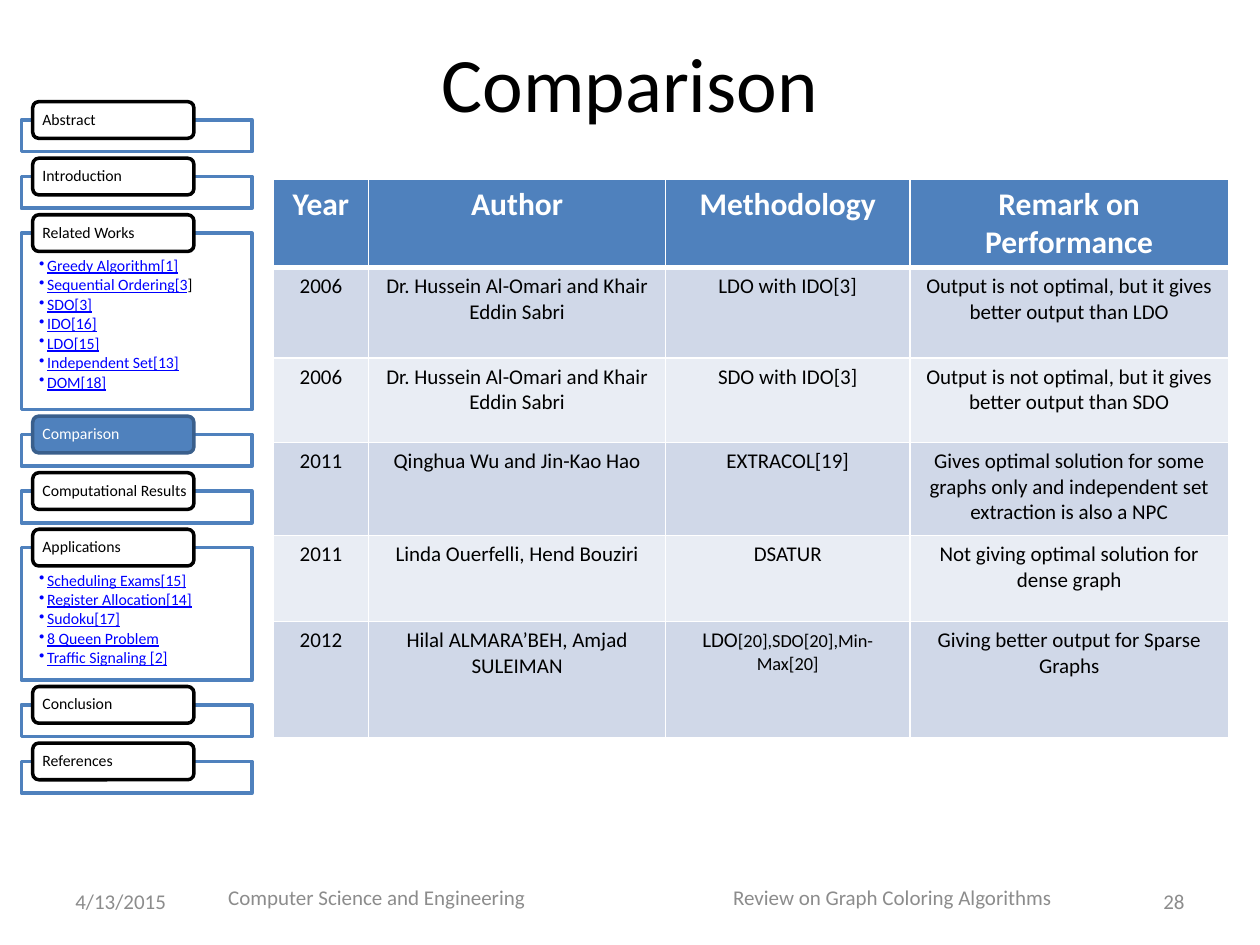
from lxml.etree import SubElement
from pptx import Presentation
from pptx.dml.color import RGBColor
from pptx.enum.shapes import MSO_SHAPE as Shape
from pptx.enum.text import MSO_ANCHOR as Anchor, PP_ALIGN as Align
from pptx.oxml.ns import qn
from pptx.util import Cm, Pt

BLUE, WHITE, BLACK, GREY, LINK = "4F81BD", "FFFFFF", "000000", "8C8C8C", "0000FF"
BANDS = ("E9EDF4", "D0D8E8")


def color(value):
    return RGBColor.from_string(value)


class SlideBuilder:
    """Draws styled elements on the current slide."""

    font_name = "Calibri"

    def __init__(self, slide):
        self.slide = slide

    def style(self, paragraph, size, tint, align=Align.LEFT, bold=False):
        paragraph.alignment = align
        font = paragraph.font
        font.name, font.size, font.bold = self.font_name, Pt(size), bold
        font.color.rgb = color(tint)

    def frame(self, shape, anchor, insets):
        frame = shape.text_frame
        frame.word_wrap = True
        frame.vertical_anchor = anchor
        frame.margin_left, frame.margin_top, frame.margin_right, frame.margin_bottom = map(Cm, insets)
        return frame

    def text(self, box, content, size, tint, align=Align.LEFT, left_inset=0.25):
        shape = self.slide.shapes.add_textbox(*map(Cm, box))
        frame = self.frame(shape, Anchor.MIDDLE, (left_inset, 0.13, 0.25, 0.13))
        frame.text = content
        self.style(frame.paragraphs[0], size, tint, align)
        return frame.paragraphs[0]

    def tab_stop(self, paragraph, position):
        tabs = SubElement(paragraph._p.get_or_add_pPr(), qn("a:tabLst"))
        SubElement(tabs, qn("a:tab"), pos=str(Cm(position)), algn="l")
        paragraph._p.pPr.insert(0, tabs)

    def box(self, kind, box, fill, line):
        shape = self.slide.shapes.add_shape(kind, *map(Cm, box))
        shape.shadow.inherit = False
        shape.fill.solid()
        shape.fill.fore_color.rgb = color(fill)
        shape.line.color.rgb = color(line)
        shape.line.width = Pt(2)
        return shape

    def label(self, box, content, fill, line, tint):
        shape = self.box(Shape.ROUNDED_RECTANGLE, box, fill, line)
        frame = self.frame(shape, Anchor.MIDDLE, (0.16, 0, 0.1, 0))
        frame.text = content
        self.style(frame.paragraphs[0], 9, tint)
        frame.paragraphs[0].line_spacing = 0.9

    def links(self, shape, items):
        frame = self.frame(shape, Anchor.TOP, (0.36, 0.5, 0.36, 0.18))
        for index, item in enumerate(items):
            paragraph = frame.paragraphs[0] if index == 0 else frame.add_paragraph()
            self.style(paragraph, 9, LINK)
            paragraph.line_spacing = 0.9
            paragraph.space_after = Pt(1.35)
            properties = paragraph._p.pPr
            properties.set("marL", str(Cm(0.16)))
            properties.set("indent", str(-Cm(0.16)))
            bullet = properties.makeelement(qn("a:buChar"), {"char": "•"})
            properties.find(qn("a:defRPr")).addprevious(bullet)
            linked, *plain = item.split("|")
            run = paragraph.add_run()
            run.text, run.font.underline = linked, True
            for tail in plain:
                run = paragraph.add_run()
                run.text, run.font.underline = tail, False
                run.font.color.rgb = color(BLACK)

    def border(self, cell, side, width):
        properties = cell._tc.get_or_add_tcPr()
        line = properties.makeelement(qn(f"a:ln{side}"), {"w": str(Pt(width))})
        fill = SubElement(line, qn("a:solidFill"))
        SubElement(fill, qn("a:srgbClr"), val=WHITE)
        properties.find(qn("a:solidFill")).addprevious(line)

    def table(self, left, top, widths, heights, rows):
        graphic = self.slide.shapes.add_table(
            len(rows), len(widths), Cm(left), Cm(top), Cm(sum(widths)), Cm(sum(heights)))
        table = graphic.table
        for column, width in zip(table.columns, widths):
            column.width = Cm(width)
        for row, height in zip(table.rows, heights):
            row.height = Cm(height)
        for row_index, row in enumerate(rows):
            header = row_index == 0
            for column_index, content in enumerate(row):
                cell = table.cell(row_index, column_index)
                cell.text = content
                cell.fill.solid()
                cell.fill.fore_color.rgb = color(BLUE if header else BANDS[row_index % 2])
                for paragraph in cell.text_frame.paragraphs:
                    self.style(paragraph, 18 if header else 12, WHITE if header else BLACK,
                               Align.CENTER, header)
                for side in "LRTB":
                    thick = (side == "B" and header) or (side == "T" and row_index == 1)
                    self.border(cell, side, 3 if thick else 1)
        return table


presentation = Presentation()
presentation.slide_width, presentation.slide_height = Cm(25.4), Cm(19.05)
builder = SlideBuilder(presentation.slides.add_slide(presentation.slide_layouts[6]))

builder.text((1.27, 0.05, 22.86, 3.18), "Comparison", 44, BLACK, Align.CENTER)

authors = "Dr. Hussein Al-Omari and Khair Eddin Sabri"
remark = "Output is not optimal, but it gives better output than "
comparison_rows = [
    ("Year", "Author", "Methodology", "Remark on Performance"),
    ("2006", authors, "LDO with IDO[3]", remark + "LDO"),
    ("2006", authors, "SDO with IDO[3]", remark + "SDO"),
    ("2011", "Qinghua Wu and Jin-Kao Hao", "EXTRACOL[19]",
     "Gives optimal solution for some graphs only and independent set\nextraction is also a NPC"),
    ("2011", "Linda Ouerfelli, Hend Bouziri", "DSATUR", "Not giving optimal solution for dense graph"),
    ("2012", "Hilal ALMARA’BEH, Amjad SULEIMAN", "LDO", "Giving better output for Sparse Graphs"),
]
table = builder.table(5.51, 3.61, (1.92, 5.99, 4.92, 6.43),
                      (1.68, 1.83, 1.7, 1.88, 1.73, 2.34), comparison_rows)
citation = table.cell(5, 2).text_frame.paragraphs[0].add_run()
citation.text, citation.font.size = "[20],SDO[20],Min-Max[20]", Pt(10.5)

footer = builder.text((2.54, 17.58, 20.75, 1.02),
                      "Computer Science and Engineering\tReview on Graph Coloring Algorithms",
                      12, GREY, left_inset=2.06)
builder.tab_stop(footer, 10.18)
builder.text((18.21, 17.65, 5.92, 1.02), "28", 12, GREY, Align.RIGHT)
builder.text((1.27, 17.65, 5.92, 1.02), "4/13/2015", 12, GREY)

sections = [
    ("Abstract", 0.64, ()),
    ("Introduction", 0.64, ()),
    ("Related Works", 3.56, ("Greedy Algorithm[1]", "Sequential Ordering[3|]", "SDO[3]", "IDO[16]",
                             "LDO[15]", "Independent Set[13]", "DOM[18]")),
    ("Comparison", 0.64, ()),
    ("Computational Results", 0.64, ()),
    ("Applications", 2.67, ("Scheduling Exams[15]", "Register Allocation[14]", "Sudoku[17]",
                            "8 Queen Problem", "Traffic Signaling [2]")),
    ("Conclusion", 0.64, ()),
    ("References", 0.64, ()),
]
top = 2.42
for name, height, items in sections:
    panel = builder.box(Shape.RECTANGLE, (0.43, top, 4.65, height), WHITE, BLUE)
    if items:
        builder.links(panel, items)
    colors = (BLUE, "3A5F8C", WHITE) if name == "Comparison" else (WHITE, BLACK, BLACK)
    builder.label((0.66, top - 0.37, 3.25, 0.74), name, *colors)
    top += height + 0.5

presentation.save("out.pptx")
